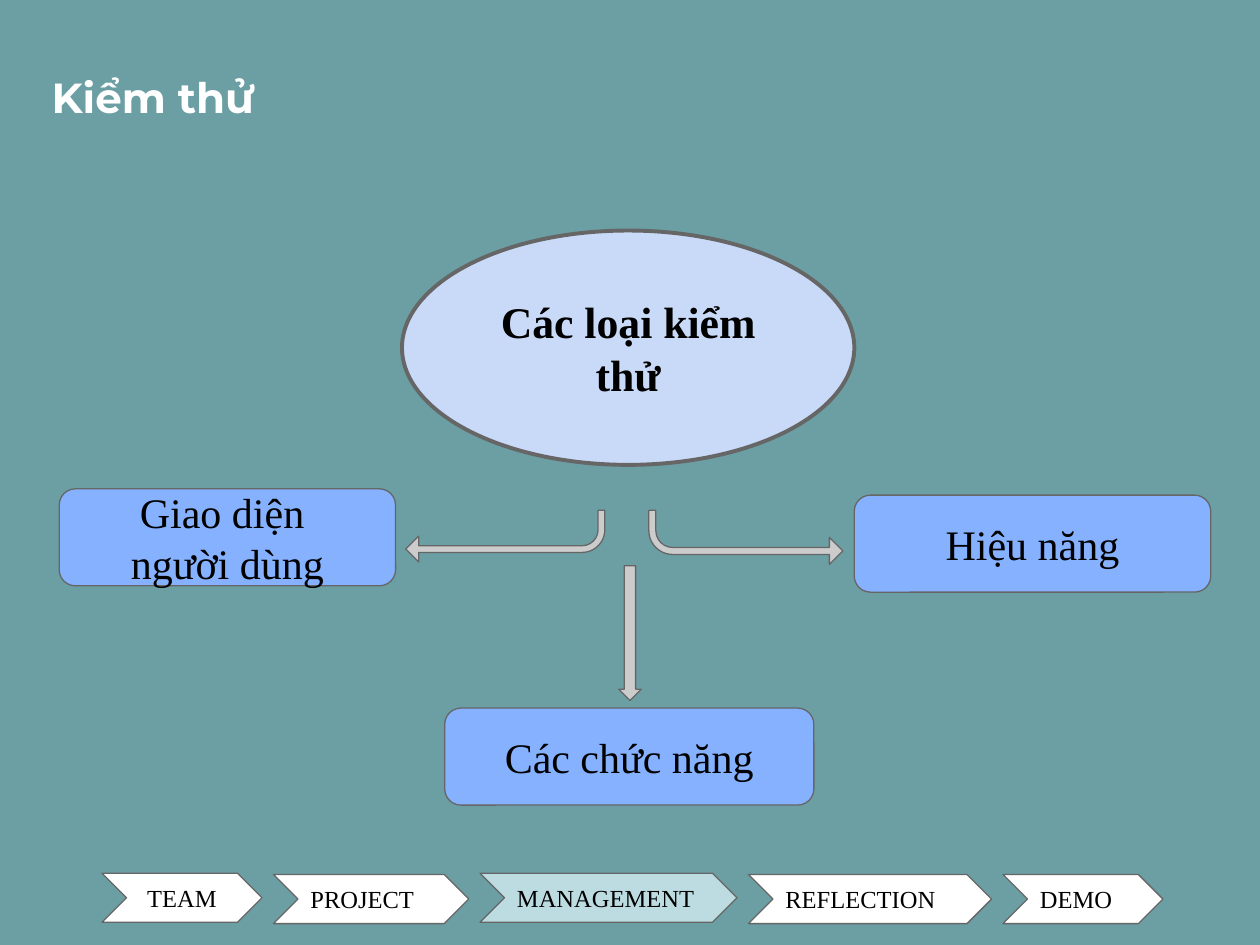
from dataclasses import dataclass

from pptx import Presentation
from pptx.dml.color import RGBColor
from pptx.enum.shapes import MSO_SHAPE
from pptx.enum.text import MSO_ANCHOR, MSO_AUTO_SIZE, PP_ALIGN
from pptx.util import Inches, Pt


@dataclass(frozen=True)
class Theme:
    background: str = "6B9FA4"
    white: str = "FFFFFF"
    text: str = "000000"
    outline: str = "666666"
    current_step: str = "BCDCE1"
    kind: str = "85B1FF"
    topic: str = "C9DAF8"
    arrow: str = "CCCCCC"
    title_font: str = "Montserrat"
    body_font: str = "Times New Roman"
    title_size: int = 24
    topic_size: int = 25
    kind_size: int = 24
    step_size: int = 14


theme = Theme()


def write(shape, text, font, size, color, bold=False, align=PP_ALIGN.CENTER,
          anchor=MSO_ANCHOR.MIDDLE):
    frame = shape.text_frame
    frame.text = text
    frame.word_wrap = True
    frame.auto_size = MSO_AUTO_SIZE.NONE
    frame.vertical_anchor = anchor
    frame.margin_left = frame.margin_right = Inches(0.1)
    frame.margin_top = frame.margin_bottom = Inches(0.1)
    for para in frame.paragraphs:
        para.alignment = align
        para.font.name = font
        para.font.size = Pt(size)
        para.font.bold = bold
        para.font.color.rgb = RGBColor.from_string(color)


def add_outlined(preset, left, top, width, height, fill, line_width=0.75):
    shape = page.shapes.add_shape(
        preset, Inches(left), Inches(top), Inches(width), Inches(height))
    shape.shadow.inherit = False
    shape.fill.solid()
    shape.fill.fore_color.rgb = RGBColor.from_string(fill)
    shape.line.color.rgb = RGBColor.from_string(theme.outline)
    shape.line.width = Pt(line_width)
    return shape


deck = Presentation()
deck.slide_width, deck.slide_height = Inches(10), Inches(7.5)
page = deck.slides.add_slide(deck.slide_layouts[5])
page.background.fill.solid()
page.background.fill.fore_color.rgb = RGBColor.from_string(theme.background)

title = page.shapes.title
title.left, title.top = Inches(0.31), Inches(0.3)
title.width, title.height = Inches(9.19), Inches(0.77)
write(title, "Kiểm thử", theme.title_font, theme.title_size, theme.white,
      bold=True, align=PP_ALIGN.LEFT, anchor=MSO_ANCHOR.BOTTOM)

# Progress bar
steps = [
    ("TEAM", 6.93, 1.27, theme.white, PP_ALIGN.CENTER),
    ("PROJECT", 6.94, 1.55, theme.white, PP_ALIGN.LEFT),
    ("MANAGEMENT", 6.93, 2.04, theme.current_step, PP_ALIGN.LEFT),
    ("REFLECTION", 6.94, 1.93, theme.white, PP_ALIGN.LEFT),
    ("DEMO", 6.94, 1.27, theme.white, PP_ALIGN.LEFT),
]
step_left, step_gap = 0.81, 0.09
for text, top, width, fill, align in steps:
    # The pentagon preset is the pointed block; the chevron is notched as well
    step = add_outlined(MSO_SHAPE.CHEVRON, step_left, top, width, 0.39, fill)
    write(step, text, theme.body_font, theme.step_size, theme.text, align=align)
    step_left += width + step_gap

# Kinds of testing
kinds = [
    ("Giao diện \nngười dùng", 0.47, 3.88, 2.67),
    ("Các chức năng", 3.53, 5.62, 2.93),
    ("Hiệu năng", 6.78, 3.93, 2.83),
]
for text, left, top, width in kinds:
    box = add_outlined(MSO_SHAPE.ROUNDED_RECTANGLE, left, top, width, 0.77, theme.kind)
    write(box, text, theme.body_font, theme.kind_size, theme.text)

# Arrows from the topic to each kind
for left, width, height, mirrored in [(3.22, 1.58, 0.41, False), (5.15, 1.54, 0.43, True)]:
    arrow = add_outlined(MSO_SHAPE.BENT_ARROW, left, 4.05, width, height, theme.arrow)
    arrow.rotation = 180
    for index, value in enumerate((0.13, 0.25, 0.25, 0.44)):
        arrow.adjustments[index] = value
    if mirrored:
        arrow.element.spPr.xfrm.set("flipH", "1")
add_outlined(MSO_SHAPE.DOWN_ARROW, 4.91, 4.49, 0.18, 1.07, theme.arrow)

topic = add_outlined(MSO_SHAPE.OVAL, 3.19, 1.83, 3.59, 1.86, theme.topic, line_width=2.25)
write(topic, "Các loại kiểm thử", theme.body_font, theme.topic_size, theme.text, bold=True)

deck.save("out.pptx")
